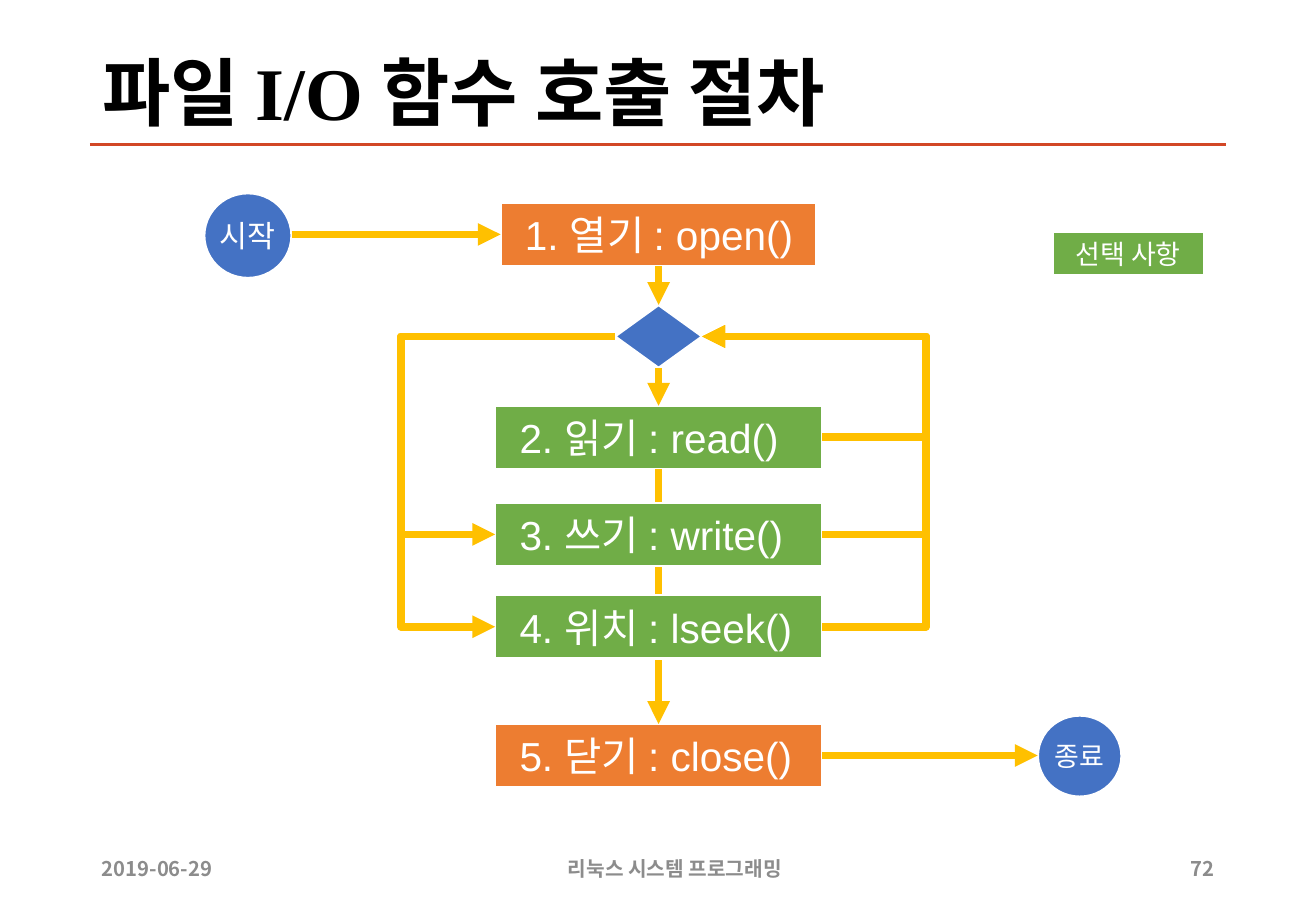
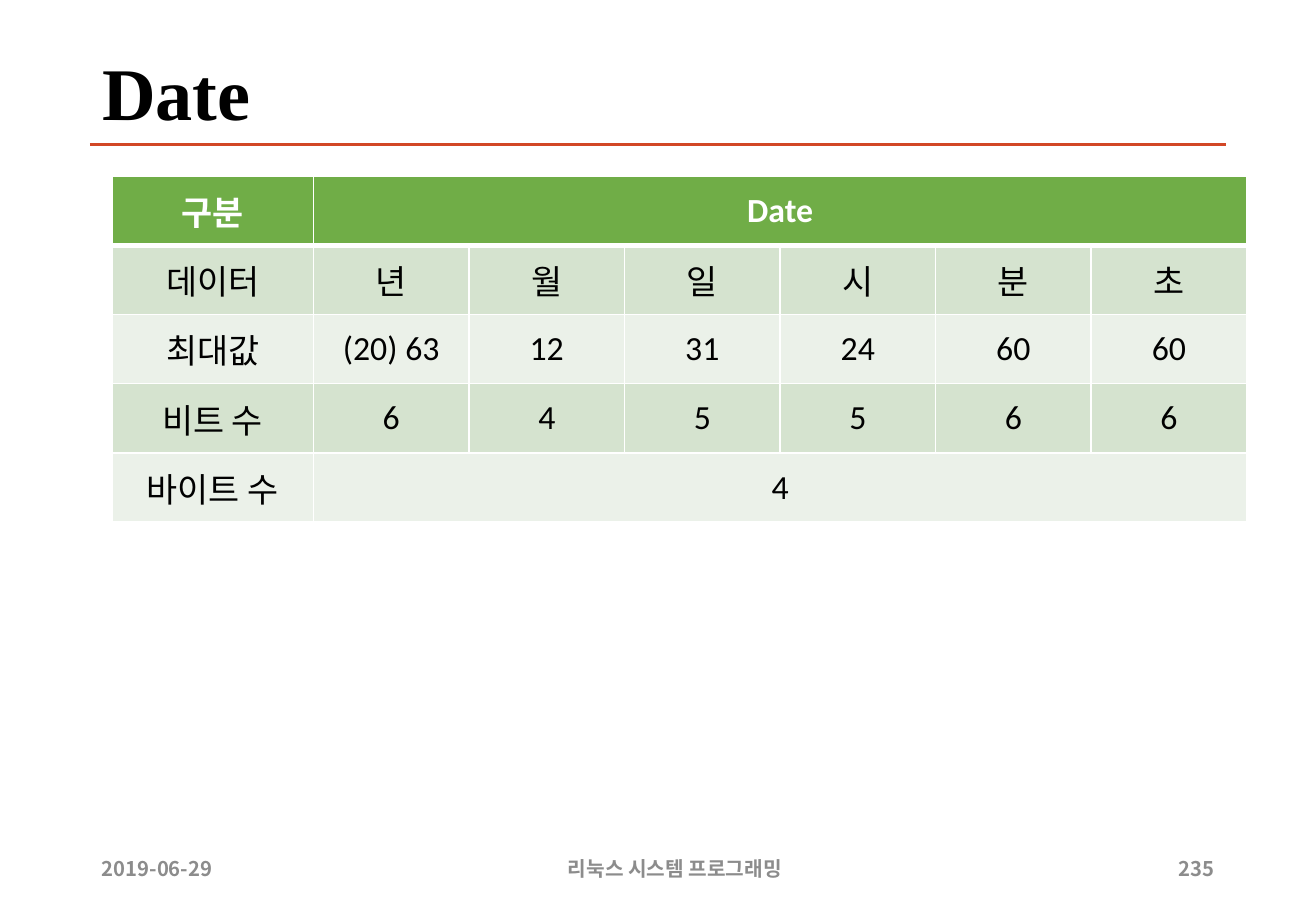
from lxml import etree
from pptx import Presentation
from pptx import util as u
from pptx.dml.color import RGBColor
from pptx.enum import shapes, text
from pptx.oxml import ns

BLACK, WHITE, GRAY, RULE = "000000", "FFFFFF", "8C8C8C", "D24726"
BLUE, ORANGE, GREEN, GOLD = "4472C4", "ED7D31", "70AD47", "FFC000"
BANDS = ["D5E3CF", "EBF1E9"]
KOREAN = "Noto Sans CJK KR"
LEFT, CENTER, RIGHT = text.PP_ALIGN.LEFT, text.PP_ALIGN.CENTER, text.PP_ALIGN.RIGHT
SHAPE = shapes.MSO_SHAPE
TOP_SITE, LEFT_SITE, BOTTOM_SITE, RIGHT_SITE = range(4)

FLOW_TITLE, FLOW_NUMBER = "파일 I/O 함수 호출 절차", "72"
TABLE_TITLE, TABLE_NUMBER = "Date", "235"
FOOTERS = [("2019-06-29", 0.74, 1.27, LEFT), ("리눅스 시스템 프로그래밍", 4.45, 2.21, CENTER)]
NUMBER_BOX = (9.56, 0.53, RIGHT)

AXIS, STEP_HEIGHT = 5.42, 0.52
OUTER_STEPS = {
    "open": ("1. 열기 : open()", 1.67, 2.6, ORANGE),
    "read": ("2. 읽기 : read()", 3.34, 2.69, GREEN),
    "close": ("5. 닫기 : close()", 5.96, 2.69, ORANGE),
}
INNER_STEPS = {
    "write": ("3. 쓰기 : write()", 4.14, 2.69, GREEN),
    "lseek": ("4. 위치 : lseek()", 4.9, 2.69, GREEN),
}
LEFT_LANE, RIGHT_LANE = 3.3, 7.62

DATE_ROWS = [
    ["구분", "Date"],
    ["데이터", "년", "월", "일", "시", "분", "초"],
    ["최대값", "(20) 63", "12", "31", "24", "60", "60"],
    ["비트 수", "6", "4", "5", "5", "6", "6"],
    ["바이트 수", "4"],
]
COLUMN_WIDTHS = [1.66] + [1.28] * 6
ROW_HEIGHT = 0.57


def color(value):
    return RGBColor.from_string(value)


def add_element(parent, tag, **attributes):
    return etree.SubElement(parent, ns.qn(tag), attributes)


def write(frame, content, size=18, font="Calibri", fill=WHITE, bold=False,
          align=CENTER, spacing=None, insets=None):
    frame.word_wrap = True
    frame.vertical_anchor = text.MSO_ANCHOR.MIDDLE
    if insets:
        frame.margin_left, frame.margin_top, frame.margin_right, frame.margin_bottom = map(u.Inches, insets)
    paragraph = frame.paragraphs[0]
    paragraph.alignment = align
    if spacing:
        paragraph.line_spacing = spacing
    run = paragraph.add_run()
    run.text = content
    run.font.size, run.font.name, run.font.bold = u.Pt(size), font, bold
    run.font.color.rgb = color(fill)
    add_element(run.font._element, "a:ea", typeface=KOREAN)


def add_line(slide, begin, end, fill=GOLD, width=4.5, arrow=None, lane=None):
    points = []
    for target in (begin, end):
        if isinstance(target[0], (int, float)):
            points += map(u.Inches, target)
        else:
            points += [0, 0]
    kind = shapes.MSO_CONNECTOR.STRAIGHT if lane is None else shapes.MSO_CONNECTOR.ELBOW
    connector = slide.shapes.add_connector(kind, *points)
    for target, join in ((begin, connector.begin_connect), (end, connector.end_connect)):
        if not isinstance(target[0], (int, float)):
            join(*target)
    if lane is not None:
        span = connector.end_x - connector.begin_x
        ratio = round((u.Inches(lane) - connector.begin_x) / span * 100000)
        geometry = connector._element.spPr.find(ns.qn("a:prstGeom"))
        guides = geometry.find(ns.qn("a:avLst"))
        if guides is None:
            guides = add_element(geometry, "a:avLst")
        add_element(guides, "a:gd", name="adj1", fmla=f"val {ratio}")
    connector.line.color.rgb = color(fill)
    connector.line.width = u.Pt(width)
    if arrow:
        add_element(connector.line._get_or_add_ln(), f"a:{arrow}", type="triangle")
    add_element(connector._element.spPr, "a:effectLst")


def add_node(slide, kind, left, top, width, height, fill, content=None, **format):
    shape = slide.shapes.add_shape(kind, *map(u.Inches, (left, top, width, height)))
    shape.shadow.inherit = False
    shape.fill.solid()
    shape.fill.fore_color.rgb = color(fill)
    shape.line.color.rgb = color(WHITE)
    shape.line.width = u.Pt(1.5)
    if content:
        write(shape.text_frame, content, **{"insets": (0, 0, 0, 0), **format})
    return shape


def add_steps(slide, steps):
    return {
        name: add_node(slide, SHAPE.FLOWCHART_PROCESS, AXIS - width / 2, top, width, STEP_HEIGHT,
                       fill, label, size=24, font="Arial", align=LEFT, insets=(0.2, 0, 0, 0))
        for name, (label, top, width, fill) in steps.items()
    }


def add_page(presentation, heading, number):
    slide = presentation.slides.add_slide(presentation.slide_layouts[5])
    add_line(slide, (0.74, 1.19), (10.09, 1.19), fill=RULE, width=2)
    title = slide.shapes.title
    title.left, title.top, title.width, title.height = map(u.Inches, (0.74, 0.4, 9.34, 0.79))
    title.text_frame.auto_size = text.MSO_AUTO_SIZE.NONE
    write(title.text_frame, heading, size=44, font="Times New Roman", fill=BLACK,
          bold=True, align=LEFT, spacing=0.9)
    for content, left, width, align in FOOTERS + [(number, *NUMBER_BOX)]:
        box = slide.shapes.add_textbox(*map(u.Inches, (left, 6.95, width, 0.4)))
        write(box.text_frame, content, size=12, font=KOREAN, fill=GRAY, bold=True, align=align)
    return slide


def build_flow(presentation):
    slide = add_page(presentation, FLOW_TITLE, FLOW_NUMBER)
    steps = add_steps(slide, OUTER_STEPS)
    add_line(slide, (steps["read"], BOTTOM_SITE), (steps["close"], TOP_SITE), arrow="tailEnd")
    steps.update(add_steps(slide, INNER_STEPS))
    add_node(slide, SHAPE.FLOWCHART_CONNECTOR, 1.68, 1.59, 0.72, 0.7, BLUE, "시작", size=18)
    add_node(slide, SHAPE.FLOWCHART_CONNECTOR, 8.54, 5.89, 0.69, 0.67, BLUE, "종료", size=16)
    add_node(slide, SHAPE.FLOWCHART_PROCESS, 8.66, 1.91, 1.25, 0.36, GREEN, "선택 사항",
             size=16, font="Arial")
    decision = add_node(slide, SHAPE.FLOWCHART_DECISION, AXIS - 0.36, 2.51, 0.72, STEP_HEIGHT, BLUE)
    for begin, end in [
        ((2.4, 1.93), (steps["open"], LEFT_SITE)),
        ((steps["open"], BOTTOM_SITE), (decision, TOP_SITE)),
        ((decision, BOTTOM_SITE), (steps["read"], TOP_SITE)),
        ((steps["close"], RIGHT_SITE), (8.54, 6.22)),
    ]:
        add_line(slide, begin, end, arrow="tailEnd")
    for name in ("write", "lseek"):
        add_line(slide, (steps[name], LEFT_SITE), (decision, LEFT_SITE), arrow="headEnd", lane=LEFT_LANE)
    for name in ("read", "write", "lseek"):
        add_line(slide, (decision, RIGHT_SITE), (steps[name], RIGHT_SITE), arrow="headEnd", lane=RIGHT_LANE)


def format_cell(cell, row):
    properties = cell._tc.get_or_add_tcPr()
    widths = {"L": 1, "R": 1, "T": 3 if row == 1 else 1, "B": 3 if row == 0 else 1}
    for side, width in widths.items():
        border = add_element(properties, f"a:ln{side}", w=str(u.Pt(width)))
        add_element(add_element(border, "a:solidFill"), "a:srgbClr", val=WHITE)
    cell.fill.solid()
    cell.fill.fore_color.rgb = color(BANDS[(row - 1) % 2] if row else GREEN)
    cell.vertical_anchor = text.MSO_ANCHOR.MIDDLE


def build_table(presentation):
    slide = add_page(presentation, TABLE_TITLE, TABLE_NUMBER)
    count, last = len(DATE_ROWS), len(COLUMN_WIDTHS) - 1
    table = slide.shapes.add_table(
        count, last + 1, u.Inches(0.92), u.Inches(1.45),
        u.Inches(sum(COLUMN_WIDTHS)), u.Inches(ROW_HEIGHT * count)).table
    for column, width in zip(table.columns, COLUMN_WIDTHS):
        column.width = u.Inches(width)
    for row, values in enumerate(DATE_ROWS):
        table.rows[row].height = u.Inches(ROW_HEIGHT)
        for column in range(last + 1):
            format_cell(table.cell(row, column), row)
        if len(values) == 2:
            table.cell(row, 1).merge(table.cell(row, last))
        for column, value in enumerate(values):
            write(table.cell(row, column).text_frame, value, size=20,
                  fill=BLACK if row else WHITE, bold=row == 0)
            table.cell(row, column).vertical_anchor = text.MSO_ANCHOR.MIDDLE


def main():
    presentation = Presentation()
    presentation.slide_width, presentation.slide_height = u.Inches(10.83), u.Inches(7.5)
    build_flow(presentation)
    build_table(presentation)
    presentation.save("out.pptx")


if __name__ == "__main__":
    main()
